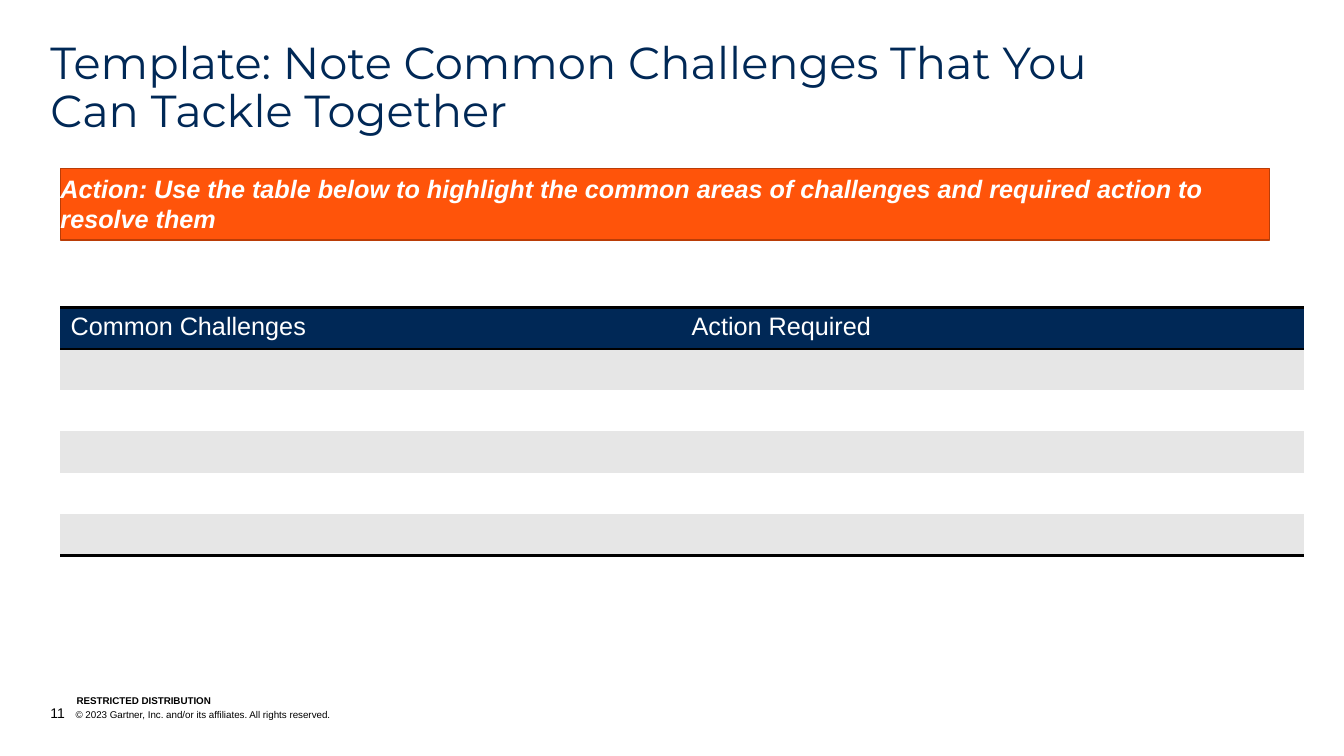
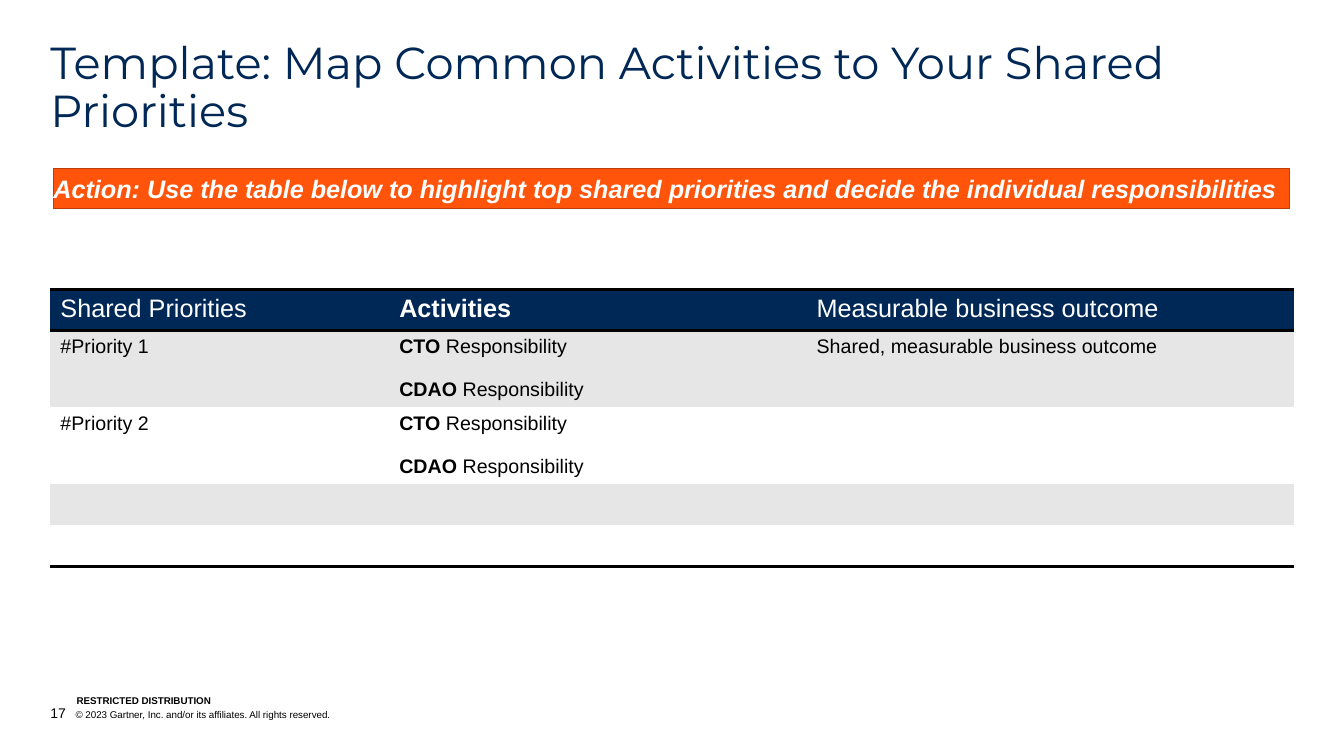
from dataclasses import dataclass

from lxml.etree import SubElement
from pptx import Presentation
from pptx.dml.color import RGBColor
from pptx.enum.shapes import MSO_SHAPE
from pptx.enum.text import MSO_ANCHOR, MSO_AUTO_SIZE, PP_ALIGN
from pptx.oxml.ns import qn
from pptx.slide import Slide
from pptx.table import _Cell
from pptx.text.text import TextFrame, _Paragraph
from pptx.util import Emu, Pt

EMU_PER_PX = 9144
SLIDE_WIDTH, SLIDE_HEIGHT = 1333, 750
TITLE_ONLY_LAYOUT = 5

NAVY = "002856"
ORANGE = "FF540A"
DARK_ORANGE = "BA3D07"
GREY = "E6E6E6"
WHITE = "FFFFFF"
BLACK = "000000"

BODY_FONT = "Arial"
TITLE_FONT = "Montserrat"
RULE_POINTS = 2
ROW_HEIGHT = 41
TALL_ROW_HEIGHT = 76
TABLE_WIDTH = 1233
NO_STYLE_NO_GRID = "{2D5ABB26-0587-4C30-8999-92F81FD0307C}"


@dataclass(frozen=True)
class Box:
    """A rectangle in px."""

    left: int
    top: int
    width: int
    height: int


@dataclass(frozen=True)
class TextRun:
    """A piece of text with its weight."""

    text: str
    bold: bool = False


@dataclass(frozen=True)
class TableRow:
    """A table row; each cell is a tuple of paragraphs made of runs."""

    cells: tuple[tuple[tuple[TextRun, ...], ...], ...] = ()
    height: int = ROW_HEIGHT


@dataclass(frozen=True)
class TemplateSlide:
    """Everything that differs from slide to slide."""

    number: int
    title: str
    action: str
    action_box: Box
    table_left: int
    table_top: int
    column_widths: tuple[int, ...]
    rows: tuple[TableRow, ...]


def px(length: int) -> Emu:
    """Turn px into EMU."""
    return Emu(length * EMU_PER_PX)


def colour(hex_value: str) -> RGBColor:
    """Turn a hex string into a colour."""
    return RGBColor.from_string(hex_value)


def place(box: Box) -> tuple[Emu, Emu, Emu, Emu]:
    """Return the position and size of a box in EMU."""
    return px(box.left), px(box.top), px(box.width), px(box.height)


def single(text: str, bold: bool = False) -> tuple[tuple[TextRun, ...], ...]:
    """Make the content of a cell with one run."""
    return ((TextRun(text, bold),),)


def set_font(paragraph: _Paragraph, size: int, hex_value: str, name: str = BODY_FONT) -> None:
    """Set the font that all runs of a paragraph share."""
    paragraph.font.name = name
    paragraph.font.size = Pt(size)
    paragraph.font.color.rgb = colour(hex_value)


def set_frame(frame: TextFrame, anchor: MSO_ANCHOR, vertical_margin: int = 0) -> None:
    """Wrap a text frame and set its margins and anchor."""
    frame.word_wrap = True
    frame.auto_size = MSO_AUTO_SIZE.NONE
    frame.vertical_anchor = anchor
    frame.margin_left = frame.margin_right = 0
    frame.margin_top = frame.margin_bottom = px(vertical_margin)


def add_title(slide: Slide, text: str) -> None:
    """Fill and format the title placeholder."""
    title = slide.shapes.title
    title.left, title.top, title.width, title.height = place(Box(50, 40, 1233, 49))
    set_frame(title.text_frame, MSO_ANCHOR.TOP)
    paragraph = title.text_frame.paragraphs[0]
    paragraph.text = text
    paragraph.alignment = PP_ALIGN.LEFT
    paragraph.line_spacing = 0.9
    set_font(paragraph, 32, NAVY, TITLE_FONT)


def add_footer(slide: Slide, number: int) -> None:
    """Add the distribution label, slide number and copyright line."""
    label = slide.shapes.add_textbox(*place(Box(76, 689, 253, 12))).text_frame
    set_frame(label, MSO_ANCHOR.BOTTOM)
    paragraph = label.paragraphs[0]
    paragraph.text = "RESTRICTED DISTRIBUTION"
    set_font(paragraph, 7, BLACK)
    paragraph.font.bold = True

    notice = slide.shapes.add_textbox(*place(Box(50, 699, 799, 17))).text_frame
    set_frame(notice, MSO_ANCHOR.BOTTOM)
    paragraph = notice.paragraphs[0]
    properties = paragraph._p.get_or_add_pPr()
    properties.set("marL", str(px(25)))
    properties.set("indent", str(px(-25)))
    set_font(paragraph, 7, BLACK)
    number_run = paragraph.add_run()
    number_run.text = str(number)
    number_run.font.size = Pt(10)
    paragraph.add_run().text = "\t© 2023 Gartner, Inc. and/or its affiliates. All rights reserved."


def add_action(slide: Slide, text: str, box: Box) -> None:
    """Add the orange band that holds the instruction."""
    band = slide.shapes.add_shape(MSO_SHAPE.RECTANGLE, *place(box))
    band.shadow.inherit = False
    band.fill.solid()
    band.fill.fore_color.rgb = colour(ORANGE)
    band.line.color.rgb = colour(DARK_ORANGE)
    band.line.width = Pt(1)
    set_frame(band.text_frame, MSO_ANCHOR.TOP, 5)
    paragraph = band.text_frame.paragraphs[0]
    paragraph.text = text
    paragraph.alignment = PP_ALIGN.LEFT
    set_font(paragraph, 18, WHITE)
    paragraph.font.bold = True
    paragraph.font.italic = True


def add_rule(cell: _Cell, side: str) -> None:
    """Draw a black border on one side of a cell."""
    line = SubElement(cell._tc.get_or_add_tcPr(), qn(f"a:{side}"), w=str(Pt(RULE_POINTS)))
    fill = SubElement(line, qn("a:solidFill"))
    SubElement(fill, qn("a:srgbClr"), val=BLACK)


def fill_cell(cell: _Cell, content: tuple[tuple[TextRun, ...], ...], size: int, hex_value: str) -> None:
    """Write the paragraphs of a cell."""
    for index, runs in enumerate(content):
        if index:
            paragraph = cell.text_frame.add_paragraph()
            paragraph.space_before = Pt(15)
        else:
            paragraph = cell.text_frame.paragraphs[0]
        set_font(paragraph, size, hex_value)
        for piece in runs:
            run = paragraph.add_run()
            run.text = piece.text
            run.font.bold = piece.bold


def add_banded_table(slide: Slide, template: TemplateSlide) -> None:
    """Add the table with a navy header and grey and white rows."""
    rows, widths = template.rows, template.column_widths
    box = Box(template.table_left, template.table_top, sum(widths), sum(row.height for row in rows))
    table = slide.shapes.add_table(len(rows), len(widths), *place(box)).table
    table.horz_banding = False
    table._tbl.tblPr.find(qn("a:tableStyleId")).text = NO_STYLE_NO_GRID
    for column, width in zip(table.columns, widths):
        column.width = px(width)
    for row_index, row in enumerate(rows):
        is_header = row_index == 0
        band = NAVY if is_header else (WHITE, GREY)[row_index % 2]
        size, text_colour = (18, WHITE) if is_header else (14, BLACK)
        table.rows[row_index].height = px(row.height)
        for column_index in range(len(widths)):
            cell = table.cell(row_index, column_index)
            if is_header:
                add_rule(cell, "lnT")
            if is_header or row_index == len(rows) - 1:
                add_rule(cell, "lnB")
            cell.fill.solid()
            cell.fill.fore_color.rgb = colour(band)
            cell.margin_left = cell.margin_right = px(10)
            cell.margin_top = cell.margin_bottom = px(5)
            if column_index < len(row.cells):
                fill_cell(cell, row.cells[column_index], size, text_colour)


RESPONSIBILITIES = tuple(
    (TextRun(role, True), TextRun(" Responsibility")) for role in ("CTO", "CDAO")
)

TEMPLATE_SLIDES = (
    TemplateSlide(
        number=11,
        title="Template: Note Common Challenges That You\vCan Tackle Together",
        action="Action: Use the table below to highlight the common areas of challenges "
        "and required action to resolve them",
        action_box=Box(60, 167, 1199, 71),
        table_left=60,
        table_top=305,
        column_widths=(616, TABLE_WIDTH - 616),
        rows=(
            TableRow((single("Common Challenges"), single("Action Required"))),
            *[TableRow()] * 5,
        ),
    ),
    TemplateSlide(
        number=17,
        title="Template: Map Common Activities to Your Shared Priorities",
        action="Action: Use the table below to highlight top shared priorities "
        "and decide the individual responsibilities",
        action_box=Box(53, 167, 1226, 40),
        table_left=50,
        table_top=287,
        column_widths=(336, 414, TABLE_WIDTH - 336 - 414),
        rows=(
            TableRow(
                (
                    single("Shared Priorities"),
                    single("Activities", True),
                    single("Measurable business outcome"),
                )
            ),
            TableRow(
                (
                    single("#Priority 1"),
                    RESPONSIBILITIES,
                    single("Shared, measurable business outcome"),
                ),
                TALL_ROW_HEIGHT,
            ),
            TableRow((single("#Priority 2"), RESPONSIBILITIES), TALL_ROW_HEIGHT),
            *[TableRow()] * 2,
        ),
    ),
)


def main() -> None:
    """Build and save the presentation."""
    presentation = Presentation()
    presentation.slide_width = px(SLIDE_WIDTH)
    presentation.slide_height = px(SLIDE_HEIGHT)
    for template in TEMPLATE_SLIDES:
        slide = presentation.slides.add_slide(presentation.slide_layouts[TITLE_ONLY_LAYOUT])
        add_footer(slide, template.number)
        add_title(slide, template.title)
        add_banded_table(slide, template)
        add_action(slide, template.action, template.action_box)
    presentation.save("out.pptx")


if __name__ == "__main__":
    main()
